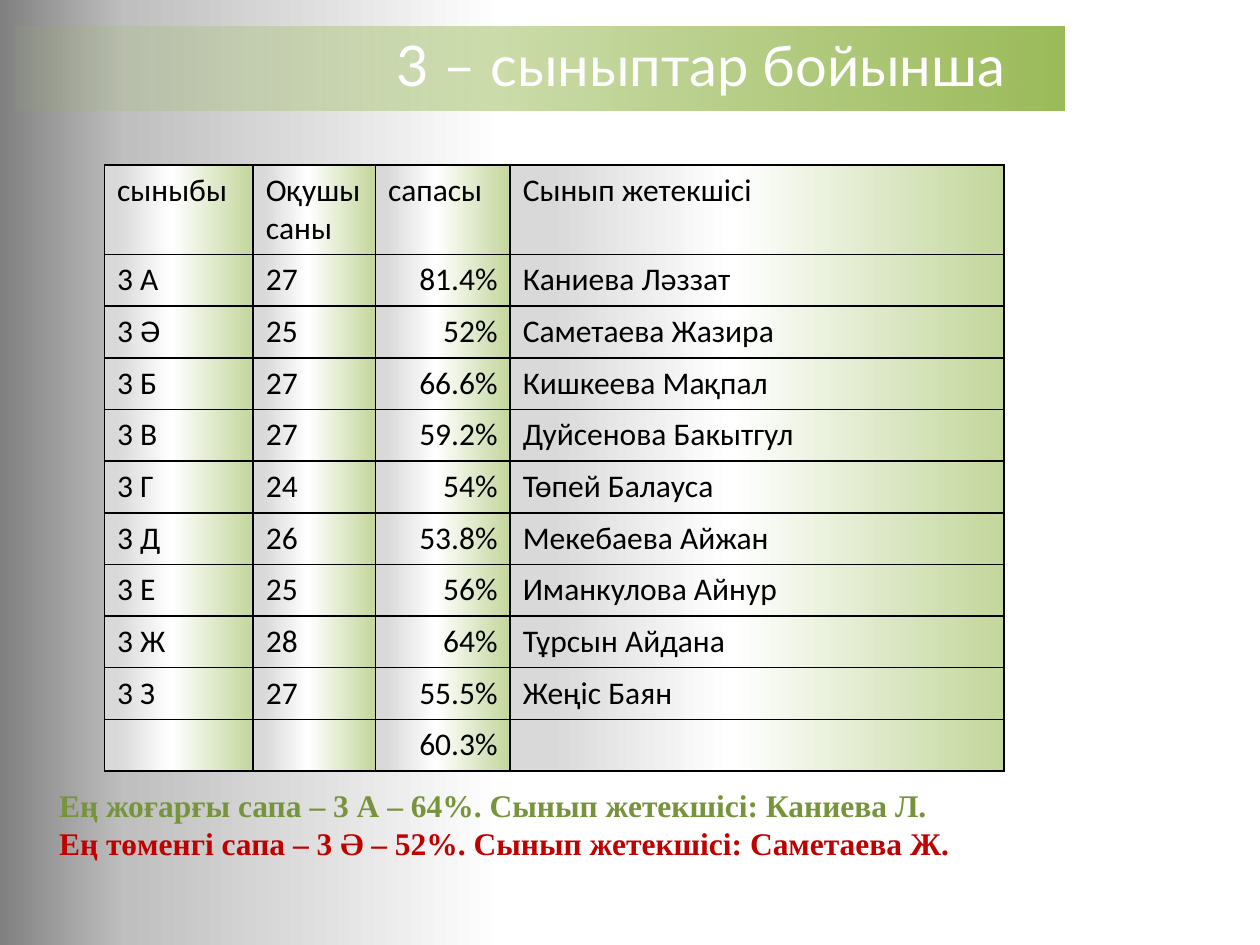
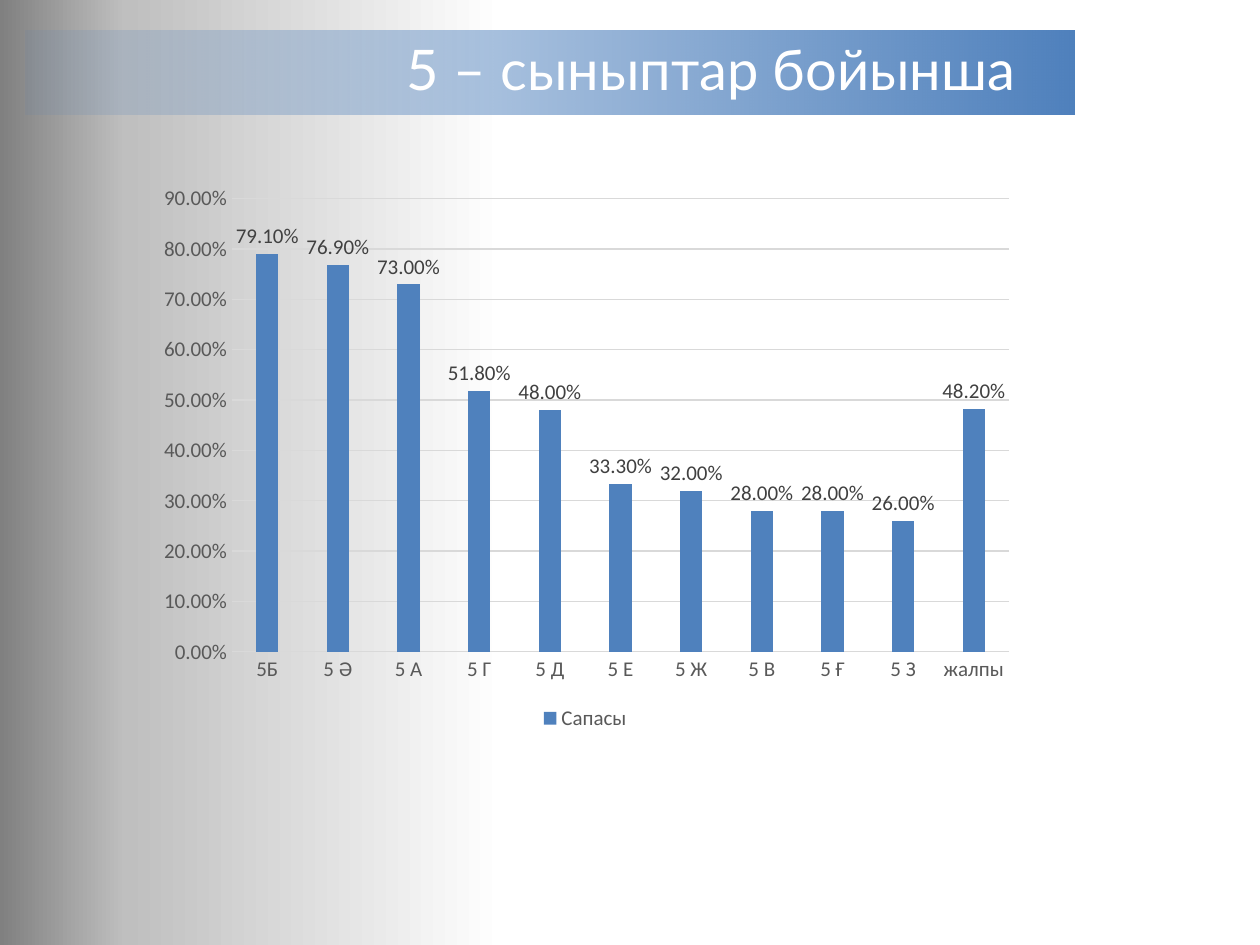
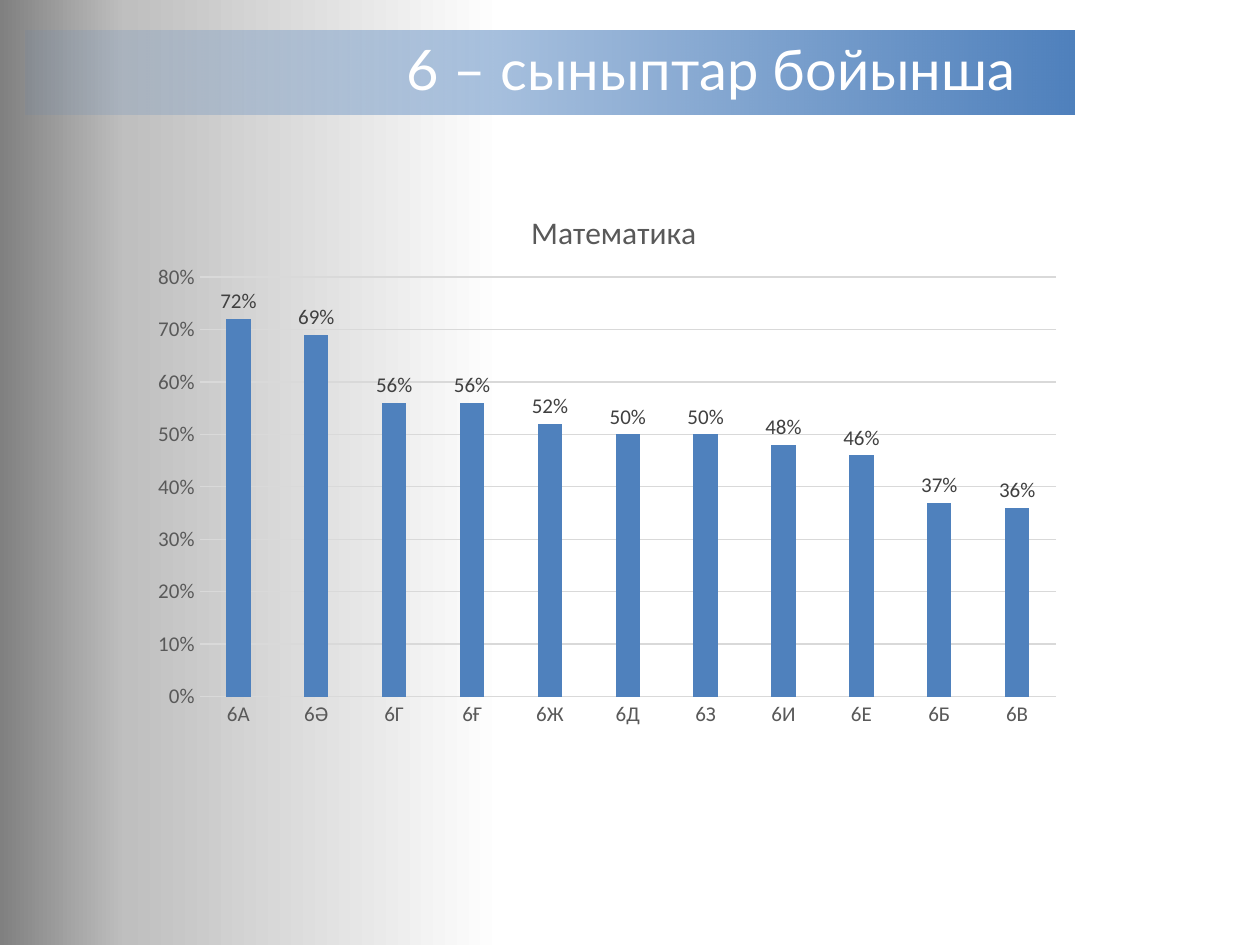
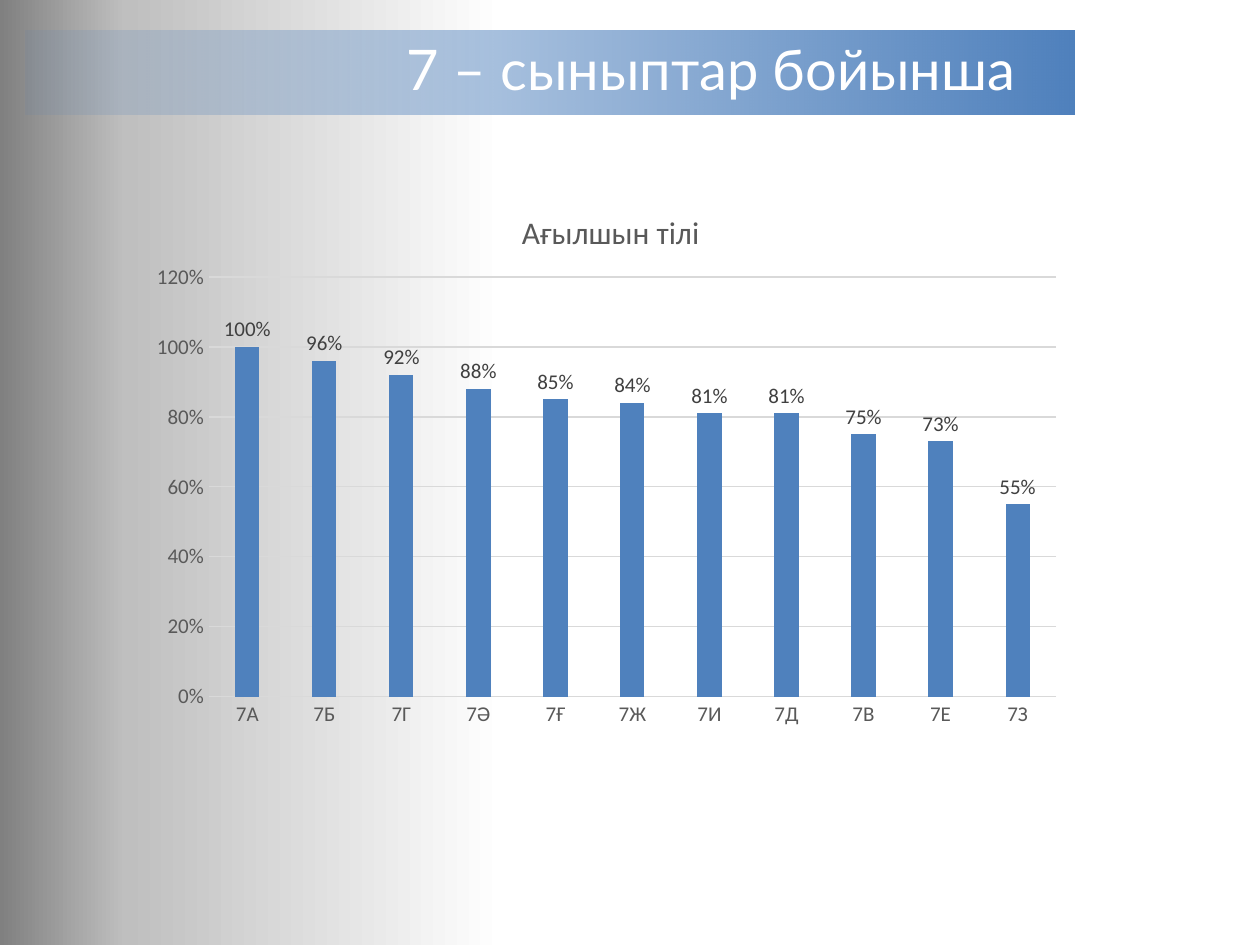
from lxml import etree
from pptx import Presentation
from pptx.chart.data import CategoryChartData
from pptx.dml.color import RGBColor
from pptx.enum.chart import XL_CHART_TYPE, XL_LABEL_POSITION, XL_LEGEND_POSITION, XL_TICK_MARK
from pptx.enum.text import MSO_ANCHOR, MSO_AUTO_SIZE, PP_ALIGN
from pptx.oxml.ns import qn
from pptx.util import Inches, Pt

WHITE = RGBColor(0xFF, 0xFF, 0xFF)
BLACK = RGBColor(0, 0, 0)
GREEN = RGBColor(0x9B, 0xBB, 0x59)
PALE_GREEN = RGBColor(0xC3, 0xD6, 0x9B)
DARK_GREEN = RGBColor(0x77, 0x93, 0x3C)
RED = RGBColor(0xC0, 0, 0)
BLUE = RGBColor(0x4F, 0x81, 0xBD)
GRID_GRAY = RGBColor(0xD9, 0xD9, 0xD9)
AXIS_GRAY = RGBColor(0x59, 0x59, 0x59)
LABEL_GRAY = RGBColor(0x40, 0x40, 0x40)
MID_GRAY = RGBColor(0xBF, 0xBF, 0xBF)
DEEP_GRAY = RGBColor(0x80, 0x80, 0x80)

BODY_FONT = "Calibri"
TITLE_FONT = "Lato"
NOTE_FONT = "Times New Roman"

BACKGROUND = [(60, WHITE, 100), (90, MID_GRAY, 100), (100, DEEP_GRAY, 100)]
CELL_FILL = [(0, PALE_GREEN, 100), (55, WHITE, 100), (92, GRID_GRAY, 100)]

TITLE = "{} – сыныптар бойынша"

COLUMN_WIDTHS = [1.18, 0.97, 1.07, 3.92]
ROW_HEIGHT = 0.41
QUALITY_COLUMN = 2
CLASS_ROWS = [
    ("сыныбы", "Оқушы саны", "сапасы", "Сынып жетекшісі"),
    ("3 А", "27", "81.4%", "Каниева Ләззат"),
    ("3 Ә", "25", "52%", "Саметаева Жазира"),
    ("3 Б", "27", "66.6%", "Кишкеева Мақпал"),
    ("3 В", "27", "59.2%", "Дуйсенова Бакытгул"),
    ("3 Г", "24", "54%", "Төпей Балауса"),
    ("3 Д", "26", "53.8%", "Мекебаева Айжан"),
    ("3 Е", "25", "56%", "Иманкулова Айнур"),
    ("3 Ж", "28", "64%", "Тұрсын Айдана"),
    ("3 З", "27", "55.5%", "Жеңіс Баян"),
    ("", "", "60.3%", ""),
]
NOTES = [
    ("Ең жоғарғы сапа – 3 А – 64%. Сынып жетекшісі: Каниева Л.", DARK_GREEN),
    ("Ең төменгі сапа – 3 Ә – 52%. Сынып жетекшісі: Саметаева Ж.", RED),
]

CHARTS = [
    dict(grade=5, title=None, series="Сапасы", legend=True, width=7.01,
         plot=(0.1, 0.04, 0.88, 0.81), fmt="0.00%", top=0.9, step=0.1,
         cats=["5Б", "5 Ә", "5 А", "5 Г", "5 Д", "5 Е", "5 Ж", "5 В", "5 Ғ", "5 З", "жалпы"],
         vals=[0.791, 0.769, 0.73, 0.518, 0.48, 0.333, 0.32, 0.28, 0.28, 0.26, 0.482]),
    dict(grade=6, title="Математика", title_at=(0.41, 0.05), series="Series 1",
         legend=False, width=7.39,
         plot=(0.06, 0.18, 0.92, 0.75), fmt="0%", top=0.8, step=0.1,
         cats=["6А", "6Ә", "6Г", "6Ғ", "6Ж", "6Д", "6З", "6И", "6Е", "6Б", "6В"],
         vals=[0.72, 0.69, 0.56, 0.56, 0.52, 0.5, 0.5, 0.48, 0.46, 0.37, 0.36]),
    dict(grade=7, title="Ағылшын тілі", title_at=(0.4, 0.05), series="Series 1",
         legend=False, width=7.39,
         plot=(0.07, 0.18, 0.91, 0.75), fmt="0%", top=1.2, step=0.2,
         cats=["7А", "7Б", "7Г", "7Ә", "7Ғ", "7Ж", "7И", "7Д", "7В", "7Е", "7З"],
         vals=[1, 0.96, 0.92, 0.88, 0.85, 0.84, 0.81, 0.81, 0.75, 0.73, 0.55]),
]


def sub(parent, tag, **attrs):
    return etree.SubElement(parent, qn(tag), {k: str(v) for k, v in attrs.items()})


def style(font, name, size, color, bold=False):
    font.name, font.size, font.bold = name, Pt(size), bold
    font.color.rgb = color


def add_gradient(parent, stops, angle):
    grad = sub(parent, "a:gradFill", rotWithShape=1)
    gs_list = sub(grad, "a:gsLst")
    for pos, color, alpha in stops:
        clr = sub(sub(gs_list, "a:gs", pos=pos * 1000), "a:srgbClr", val=color)
        if alpha < 100:
            sub(clr, "a:alpha", val=alpha * 1000)
    sub(grad, "a:lin", ang=angle * 60000, scaled=0)
    return grad


def set_background(master):
    master.background.fill.background()
    bg_pr = master.element.find(".//" + qn("p:bgPr"))
    bg_pr.remove(bg_pr.find(qn("a:noFill")))
    bg_pr.insert(0, add_gradient(bg_pr, BACKGROUND, 180))


def add_titled_slide(prs, grade, left, top, color):
    s = prs.slides.add_slide(prs.slide_layouts[5])
    sp = s.shapes.title
    sp.left, sp.top, sp.width, sp.height = map(Inches, (left, top, 8.33, 0.67))
    sp_pr = sp.element.spPr
    sub(sub(sp_pr, "a:prstGeom", prst="round2DiagRect"), "a:avLst")
    add_gradient(sp_pr, [(0, color, 10), (100, color, 100)], 0)
    tf = sp.text_frame
    tf.text = TITLE.format(grade)
    tf.word_wrap, tf.auto_size = True, MSO_AUTO_SIZE.NONE
    tf.vertical_anchor = MSO_ANCHOR.MIDDLE
    tf.margin_left = Inches(3.03)
    tf.margin_top = tf.margin_right = tf.margin_bottom = Inches(0.17)
    p = tf.paragraphs[0]
    p.alignment, p.line_spacing = PP_ALIGN.LEFT, 0.9
    style(p.runs[0].font, TITLE_FONT, 32, WHITE)
    return s


def format_cell(cell):
    tc_pr = cell._tc.get_or_add_tcPr()
    for side in ("a:lnL", "a:lnR", "a:lnT", "a:lnB"):
        ln = sub(tc_pr, side, w=Pt(1))
        sub(sub(ln, "a:solidFill"), "a:srgbClr", val=BLACK)
    add_gradient(tc_pr, CELL_FILL, 180)


def add_class_table(s):
    rows, cols = len(CLASS_ROWS), len(COLUMN_WIDTHS)
    table = s.shapes.add_table(rows, cols, Inches(0.83), Inches(1.31),
                               Inches(sum(COLUMN_WIDTHS)), Inches(rows * ROW_HEIGHT)).table
    table.first_row = table.horz_banding = False
    for col, width in zip(table.columns, COLUMN_WIDTHS):
        col.width = Inches(width)
    for i, texts in enumerate(CLASS_ROWS):
        table.rows[i].height = Inches(ROW_HEIGHT)
        for j, text in enumerate(texts):
            cell = table.cell(i, j)
            format_cell(cell)
            if not text:
                continue
            cell.text_frame.text = text
            p = cell.text_frame.paragraphs[0]
            style(p.runs[0].font, BODY_FONT, 18, BLACK)
            if i and j == QUALITY_COLUMN:
                p.alignment = PP_ALIGN.RIGHT


def add_notes_box(s):
    sp = s.shapes.add_textbox(Inches(0.37), Inches(6.19), Inches(7.28), Inches(1.01))
    tf = sp.text_frame
    tf.word_wrap, tf.auto_size = False, MSO_AUTO_SIZE.SHAPE_TO_FIT_TEXT
    tf.text = "\n".join(text for text, _ in NOTES)
    for p, (_, color) in zip(tf.paragraphs, NOTES):
        style(p.runs[0].font, NOTE_FONT, 18, color, bold=True)


def set_layout(parent, index, values, inner=False):
    old = parent.find(qn("c:layout"))
    if old is not None:
        parent.remove(old)
    layout = etree.Element(qn("c:layout"))
    manual = sub(layout, "c:manualLayout")
    if inner:
        sub(manual, "c:layoutTarget", val="inner")
    sub(manual, "c:xMode", val="edge")
    sub(manual, "c:yMode", val="edge")
    for key, value in zip("xywh", values):
        sub(manual, "c:" + key, val=value)
    parent.insert(index, layout)


def format_axes(chart, d):
    cat, val = chart.category_axis, chart.value_axis
    for axis in (cat, val):
        axis.major_tick_mark = axis.minor_tick_mark = XL_TICK_MARK.NONE
        style(axis.tick_labels.font, BODY_FONT, 12, AXIS_GRAY)
    val.minimum_scale, val.maximum_scale, val.major_unit = 0, d["top"], d["step"]
    val.tick_labels.number_format = d["fmt"]
    val.tick_labels.number_format_is_linked = False
    val.format.line.fill.background()
    for line in (cat.format.line, val.major_gridlines.format.line):
        line.color.rgb, line.width = GRID_GRAY, Pt(0.75)


def add_quality_chart(s, d):
    data = CategoryChartData(number_format=d["fmt"])
    data.categories = d["cats"]
    data.add_series(d["series"], d["vals"])
    chart = s.shapes.add_chart(XL_CHART_TYPE.COLUMN_CLUSTERED, Inches(1.14), Inches(1.4),
                               Inches(d["width"]), Inches(4.44), data).chart
    style(chart.font, BODY_FONT, 10, BLACK)
    format_axes(chart, d)
    plot = chart.plots[0]
    plot.gap_width, plot.overlap, plot.vary_by_categories = 219, -27, False
    fill = plot.series[0].format.fill
    fill.solid()
    fill.fore_color.rgb = BLUE
    labels = plot.series[0].data_labels
    labels.show_value, labels.position = True, XL_LABEL_POSITION.OUTSIDE_END
    labels.number_format, labels.number_format_is_linked = d["fmt"], False
    style(labels.font, BODY_FONT, 12, LABEL_GRAY)
    chart.has_legend = d["legend"]
    if d["legend"]:
        chart.legend.position = XL_LEGEND_POSITION.BOTTOM
        chart.legend.include_in_layout = False
        style(chart.legend.font, BODY_FONT, 12, AXIS_GRAY)
    chart.has_title = d["title"] is not None
    if d["title"]:
        tf = chart.chart_title.text_frame
        tf.text = d["title"]
        style(tf.paragraphs[0].runs[0].font, BODY_FONT, 18, AXIS_GRAY)
        set_layout(chart.element.find(".//" + qn("c:title")), 1, d["title_at"])
    set_layout(chart.element.find(".//" + qn("c:plotArea")), 0, d["plot"], inner=True)


def main():
    prs = Presentation()
    prs.slide_width, prs.slide_height = Inches(10), Inches(7.5)
    set_background(prs.slide_master)
    s = add_titled_slide(prs, 3, 0.12, 0.21, GREEN)
    add_class_table(s)
    add_notes_box(s)
    for d in CHARTS:
        s = add_titled_slide(prs, d["grade"], 0.2, 0.24, BLUE)
        add_quality_chart(s, d)
    prs.save("out.pptx")


if __name__ == "__main__":
    main()
